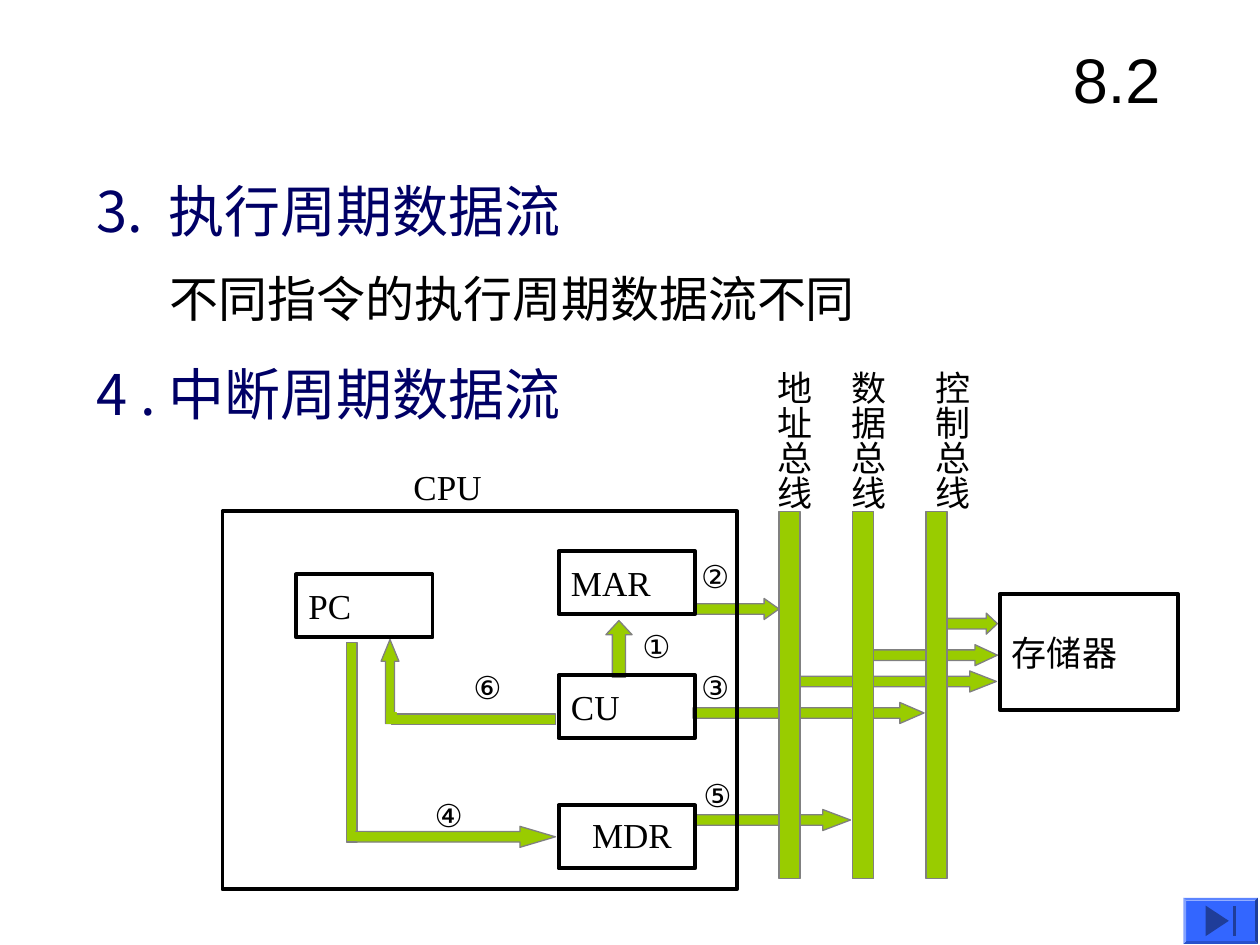
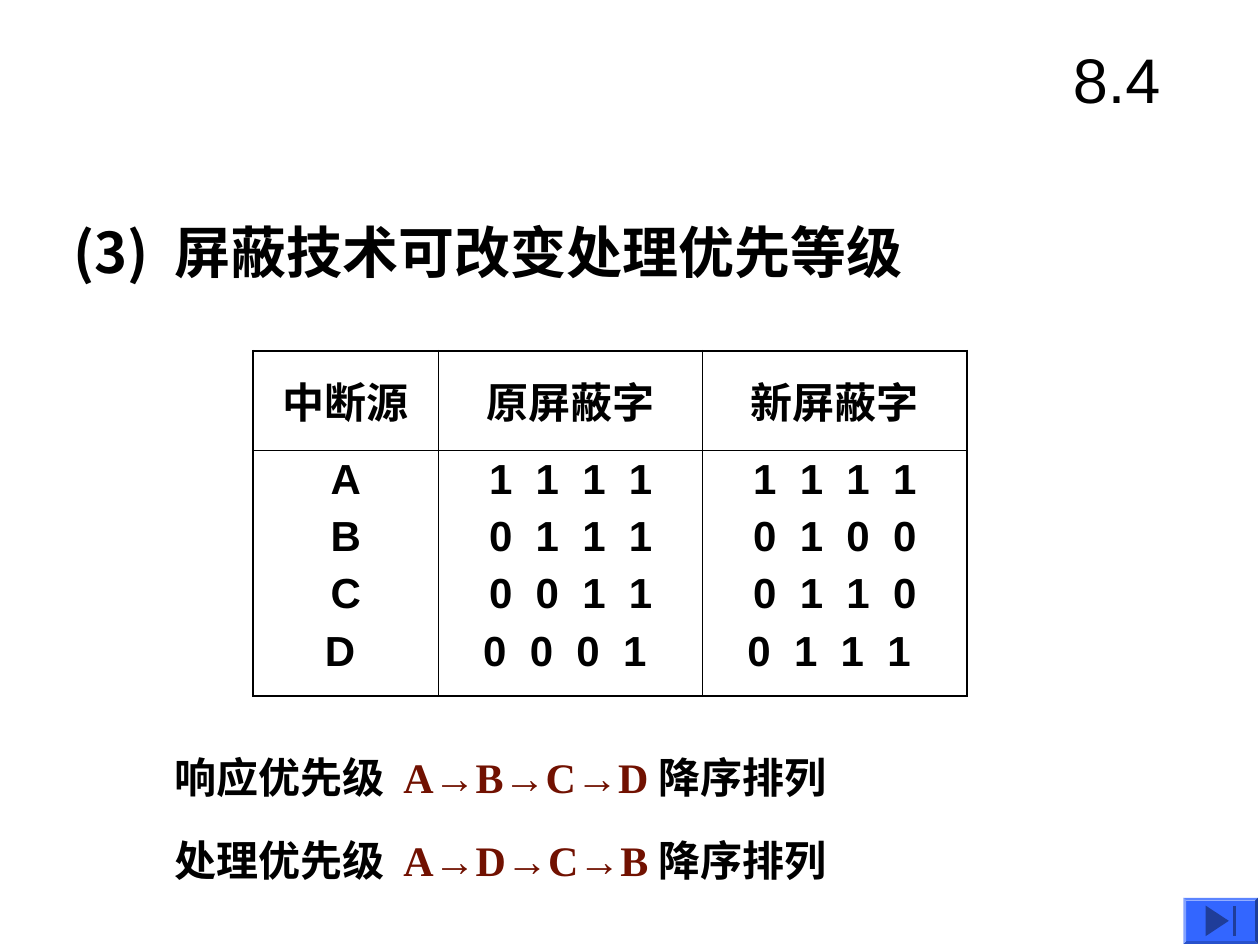
from dataclasses import dataclass

from lxml.etree import SubElement
from pptx import Presentation
from pptx.dml.color import RGBColor
from pptx.enum.shapes import MSO_SHAPE as Preset
from pptx.enum.text import MSO_ANCHOR as Anchor, PP_ALIGN as Align
from pptx.oxml.ns import qn
from pptx.util import Inches, Pt

COLORS = {"ink": "000000", "heading": "000066", "bus": "99CC00", "edge": "808080",
          "order": "711101", "button": "3366FF", "icon": "1F3D99"}
SANS, SERIF, CJK = "Arial", "Times New Roman", "Noto Sans CJK SC"
CELL = 1 / 12  # side of a grid cell in inches
COLS, ROWS = 120, 90

PADDED = {"margin_left": Inches(0.1), "margin_right": Inches(0.1),
          "margin_top": Inches(0.05), "margin_bottom": Inches(0.05)}
WRAPPED = PADDED | {"word_wrap": True}
LOOSE = PADDED | {"word_wrap": False}
MIDDLE = {"vertical_anchor": Anchor.MIDDLE}
FLUSH = MIDDLE | dict.fromkeys(PADDED, 0) | {"word_wrap": False}
UPRIGHT = {"margin_left": Inches(0.05), "margin_right": Inches(0.05),
           "margin_top": Inches(0.1), "margin_bottom": Inches(0.1), "word_wrap": False}


@dataclass
class Box:
    """An area in grid cells; area() gives one relative to its corner."""
    col: float
    row: float
    cols: float
    rows: float

    def area(self, col, row, cols, rows):
        return Box(self.col + col, self.row + row, cols, rows)

    def lengths(self):
        return [Inches(n * CELL) for n in (self.col, self.row, self.cols, self.rows)]


def apply(target, values):
    for name, value in values.items():
        setattr(target, name, value)


def color(name):
    return RGBColor.from_string(COLORS[name])


def add_span(para, text, size, font=SERIF, ink="ink", bold=False):
    span = para.add_run()
    span.text = text
    apply(span.font, {"size": Pt(size), "name": font, "bold": bold})
    span.font.color.rgb = color(ink)
    SubElement(span._r.get_or_add_rPr(), qn("a:ea")).set("typeface", CJK)


def add_text(page, box, spans, frame_format=LOOSE, vertical=False):
    """Adds a text box of one line; each span is (text, size, font, ink, bold)."""
    frame = page.shapes.add_textbox(*box.lengths()).text_frame
    apply(frame, frame_format)
    if vertical:
        frame._txBody.bodyPr.set("vert", "eaVert")
    for span in spans:
        add_span(frame.paragraphs[0], *span)


def paint(shape, fill=None, line=None, width=0.75):
    shape.shadow.inherit = False
    if fill:
        shape.fill.solid()
        shape.fill.fore_color.rgb = color(fill)
    else:
        shape.fill.background()
    if line:
        shape.line.color.rgb = color(line)
        shape.line.width = Pt(width)
    else:
        shape.line.fill.background()


def add_bar(page, box, preset=Preset.RECTANGLE, head=None, line="edge"):
    """Adds a green bar, or an arrow whose head length is a share of its width."""
    bar = page.shapes.add_shape(preset, *box.lengths())
    if head:
        bar.adjustments[1] = head
    paint(bar, "bus", line)


def add_unit(page, box, name=""):
    unit = page.shapes.add_shape(Preset.RECTANGLE, *box.lengths())
    paint(unit, line="ink", width=2.25)
    if name:
        apply(unit.text_frame, LOOSE | MIDDLE)
        para = unit.text_frame.paragraphs[0]
        para.alignment = Align.LEFT
        add_span(para, name, 20)


def add_section_number(page, box, number):
    add_text(page, box.area(101, 2, 15, 11), [(number, 36, SANS)], WRAPPED | MIDDLE)


def add_end_button(page, box):
    button = page.shapes.add_shape(Preset.BEVEL, *box.lengths())
    button.adjustments[0] = 0.06
    paint(button, "button")
    shares = [[(0.61, 0.5), (0.3, 0.83), (0.3, 0.17)],
              [(0.66, 0.17), (0.66, 0.83), (0.71, 0.83), (0.71, 0.17)]]
    for outline in shares:
        points = [(Inches((box.col + x * box.cols) * CELL),
                   Inches((box.row + y * box.rows) * CELL)) for x, y in outline]
        builder = page.shapes.build_freeform(*points[0])
        builder.add_line_segments(points[1:], close=True)
        paint(builder.convert_to_shape(), "icon")


def add_page(deck, number):
    """Adds a blank page with the section number and the end button."""
    page = deck.slides.add_slide(deck.slide_layouts[6])
    whole = Box(0, 0, COLS, ROWS)
    add_section_number(page, whole, number)
    add_end_button(page, whole.area(112.7, 85.5, 7.1, 4.4))
    return page, whole


def add_flows(page, box):
    arrows = [(45, 8.3, 8, 0.71), (45, 28.4, 14.8, 1.32), (61.8, 12.7, 12, 1.07),
              (44.8, 18.2, 22, 1.15), (54.7, 15.2, 19, 1.27), (67.8, 9.7, 6, 0.53),
              (12.7, 30, 19, 1.69)]
    up_arrows = [(15.1, 12.2, 1.7, 8, 1.22), (36.5, 10.4, 2.5, 5.4, 0.54)]
    stems = [(11.8, 12.5, 1, 19), (16.1, 19.3, 15.6, 1)]
    joints = [(12.5, 30.6, 1.2, 0.7), (15.6, 19.2, 1, 1), (54.3, 15.9, 1, 0.6)]
    for stem in stems:
        add_bar(page, box.area(*stem))
    for col, row, cols, head in arrows:
        add_bar(page, box.area(col, row, cols, 2), Preset.RIGHT_ARROW, head)
    for *place, head in up_arrows:
        add_bar(page, box.area(*place), Preset.UP_ARROW, head)
    for joint in joints:
        add_bar(page, box.area(*joint), line="bus")


def add_buses(page, box):
    for index, (name, label_col) in enumerate(
            [("地址总线", 50.6), ("数据总线", 57.6), ("控制总线", 65.6)]):
        add_bar(page, box.area(53 + 7 * index, 0, 2, 35))
        add_text(page, box.area(label_col, -14.6, 6.4, 14.6), [(name, 20)], UPRIGHT, True)


def add_units(page, box):
    add_unit(page, box)
    for name, col, row in [("PC", 7, 6), ("MAR", 32, 3.8), ("CU", 32, 15.6), ("", 32, 28)]:
        add_unit(page, box.area(col, row, 13, 6), name)
    add_unit(page, box.area(74, 7.9, 17, 11), "存储器")
    add_text(page, box.area(34, 28.2, 10, 5.3), [("MDR", 20)])
    add_text(page, box.area(17, -5, 8.9, 5.3), [("CPU", 20)])


def add_step_numbers(page, box):
    places = [(38.8, 10.4), (44.4, 3.8), (44.4, 14.3), (19, 26.5), (44.6, 24.6), (22.7, 14.3)]
    for step, (col, row) in zip("①②③④⑤⑥", places):
        add_text(page, box.area(col, row, 5.4, 4.8), [(step, 18, SANS)])


def add_data_flow_page(deck):
    page, whole = add_page(deck, "8.2")
    for row, heading in [(16.2, "3.  执行周期数据流"), (33.7, "4 . 中断周期数据流")]:
        add_text(page, whole.area(8, row, 75, 7.7), [(heading, 32, CJK, "heading")], WRAPPED)
    add_text(page, whole.area(15, 25, 70, 6.8), [("不同指令的执行周期数据流不同", 28)], WRAPPED)
    cpu = whole.area(21.2, 48.7, 49, 36)
    for add_layer in (add_flows, add_buses, add_units, add_step_numbers):
        add_layer(page, cpu)


def set_borders(cell, widths):
    """Draws the left, right, top and bottom borders, in points."""
    cell.fill.background()
    properties = cell._tc.get_or_add_tcPr()
    for index, (side, width) in enumerate(zip("LRTB", widths)):
        line = SubElement(properties, qn(f"a:ln{side}"), w=str(Pt(width)))
        ink = SubElement(SubElement(line, qn("a:solidFill")), qn("a:srgbClr"))
        ink.set("val", COLORS["ink"])
        properties.insert(index, line)


def add_mask_table(page, box):
    columns = [("中断源", ["A", "B", "C", "D "]),
               ("原屏蔽字", ["1  1  1  1", "0  1  1  1", "0  0  1  1", "0  0  0  1 "]),
               ("新屏蔽字", ["1  1  1  1", "0  1  0  0", "0  1  1  0", "0  1  1  1 "])]
    table = page.shapes.add_table(2, 3, *box.lengths()).table
    apply(table, {"first_row": False, "horz_banding": False})
    for row, share in zip(table.rows, (0.3, 0.7)):
        row.height = Inches(box.rows * share * CELL)
    outer, inner = 1.08, 0.45
    for c, (title, masks) in enumerate(columns):
        table.columns[c].width = Inches(box.cols * (0.37 if c else 0.26) * CELL)
        for r, (lines, font) in enumerate([([title], CJK), (masks, SANS)]):
            cell = table.cell(r, c)
            cell.vertical_anchor = Anchor.TOP if r else Anchor.MIDDLE
            set_borders(cell, [outer if at_edge else inner
                               for at_edge in (c == 0, c == 2, r == 0, r == 1)])
            for index, text in enumerate(lines):
                frame = cell.text_frame
                para = frame.add_paragraph() if index else frame.paragraphs[0]
                apply(para, {"alignment": Align.CENTER, "space_before": Pt(6)})
                add_span(para, text, 24, font, bold=True)


def add_priority_page(deck):
    page, whole = add_page(deck, "8.4")
    add_text(page, whole.area(7, 20.6, 90, 6.6),
             [("(3)  屏蔽技术可改变处理优先等级", 32, CJK, "ink", True)], FLUSH)
    add_mask_table(page, whole.area(24.1, 33.4, 68, 31.5))
    for row, kind, order in [(71.2, "响应优先级  ", "A→B→C→D "),
                             (79.1, "处理优先级  ", "A→D→C→B ")]:
        add_text(page, whole.area(16.6, row, 84, 5.6),
                 [(kind, 24, CJK, "ink", True), (order, 24, SERIF, "order", True),
                  ("降序排列", 24, CJK, "ink", True)], FLUSH)


def main():
    deck = Presentation()
    apply(deck, {"slide_width": Inches(COLS * CELL), "slide_height": Inches(ROWS * CELL)})
    add_data_flow_page(deck)
    add_priority_page(deck)
    deck.save("out.pptx")


if __name__ == "__main__":
    main()
